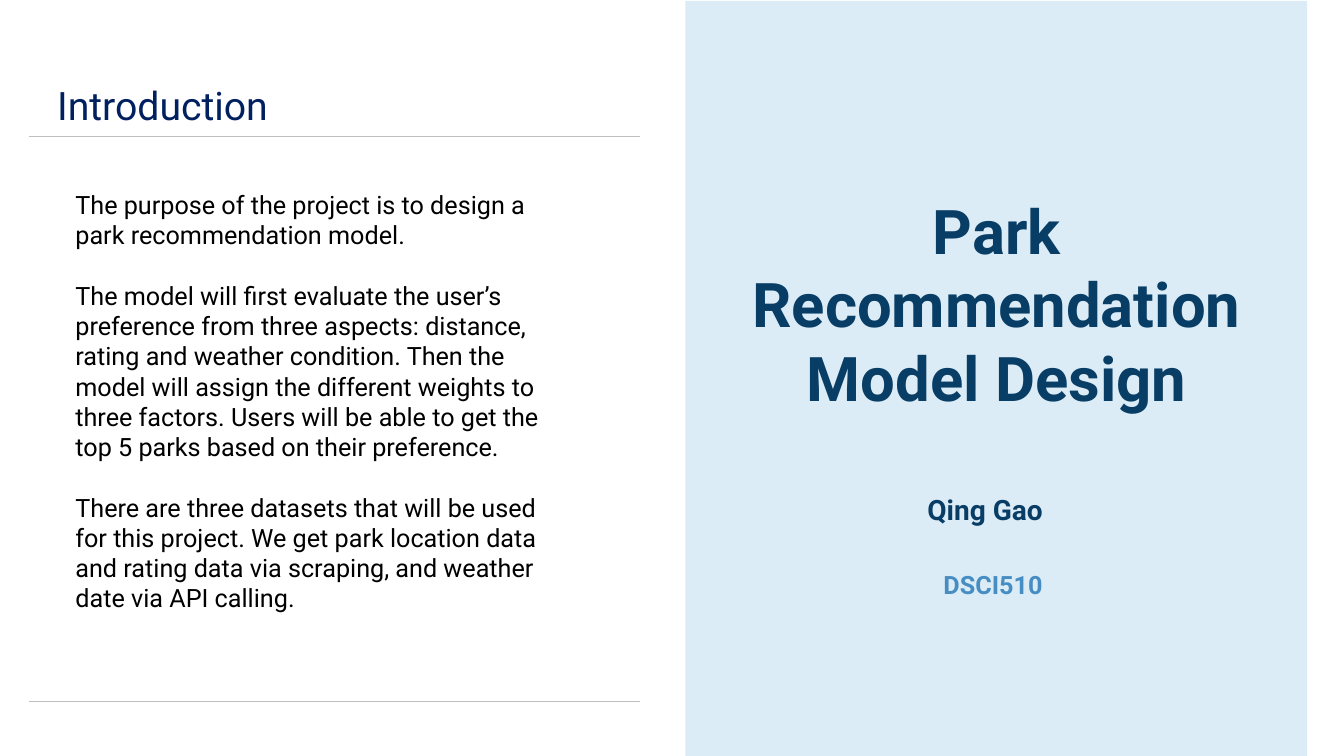
from pptx import Presentation
from pptx.dml.color import RGBColor
from pptx.enum.shapes import MSO_CONNECTOR, MSO_SHAPE
from pptx.enum.text import PP_ALIGN
from pptx.oxml.ns import qn
from pptx.util import Pt
from lxml import etree

NAVY = RGBColor(0x08, 0x3D, 0x65)
HEADING_BLUE = RGBColor(0x00, 0x20, 0x60)
ACCENT_BLUE = RGBColor(0x46, 0x8D, 0xC3)
PALE_BLUE = RGBColor(0xDC, 0xEC, 0xF6)
RULE_GRAY = RGBColor(0xBF, 0xBF, 0xBF)
BLACK = RGBColor(0x00, 0x00, 0x00)

INTRODUCTION = [
    "The purpose of the project is to design a park recommendation model.",
    "The model will first evaluate the user’s preference from three aspects: "
    "distance, rating and weather condition. Then the model will assign the "
    "different weights to three factors. Users will be able to get the top 5 "
    "parks based on their preference.",
    "There are three datasets that will be used for this project. We get park "
    "location data and rating data via scraping, and weather date via API calling.",
]

presentation = Presentation()
presentation.slide_width = Pt(960)
presentation.slide_height = Pt(540)
slide = presentation.slides.add_slide(presentation.slide_layouts[6])


def add_text(paragraphs, left, top, width, height, *, size, color, bold=False,
             align=PP_ALIGN.LEFT, margins=(0, 0), gap=0):
    """Add a text box; margins are (horizontal, vertical), gap parts the paragraphs."""
    box = slide.shapes.add_textbox(Pt(left), Pt(top), Pt(width), Pt(height))
    frame = box.text_frame
    frame.word_wrap = True
    frame.margin_left = frame.margin_right = Pt(margins[0])
    frame.margin_top = frame.margin_bottom = Pt(margins[1])
    for index, text in enumerate(paragraphs):
        paragraph = frame.add_paragraph() if index else frame.paragraphs[0]
        paragraph.alignment = align
        paragraph.space_before = Pt(gap if index else 0)
        run = paragraph.add_run()
        run.text = text
        run.font.name = "Roboto"
        run.font.size = Pt(size)
        run.font.bold = bold
        run.font.color.rgb = color


# Title panel on the right
panel = slide.shapes.add_shape(MSO_SHAPE.RECTANGLE, Pt(489.6), Pt(0.7), Pt(444.2), Pt(539.3))
panel.shadow.inherit = False
panel.fill.solid()
panel.fill.fore_color.rgb = PALE_BLUE
panel.line.fill.background()

add_text(["Park Recommendation Model Design"], 522.7, 137.5, 378.7, 159.8,
         size=44, color=NAVY, bold=True, align=PP_ALIGN.CENTER)
add_text(["Qing Gao"], 662.4, 352.1, 180, 24.5, size=20, color=NAVY, bold=True)
add_text(["DSCI510"], 673.9, 406.8, 116.6, 21.6, size=18, color=ACCENT_BLUE, bold=True)

# Introduction on the left, between two rules
for rule_top in (97.2, 501.1):
    rule = slide.shapes.add_connector(
        MSO_CONNECTOR.STRAIGHT, Pt(20.9), Pt(rule_top), Pt(457.2), Pt(rule_top))
    rule.line.color.rgb = RULE_GRAY
    rule.line.width = Pt(0.5)
    etree.SubElement(rule._element.spPr, qn("a:effectLst"))

add_text(["Introduction"], 33.8, 54.7, 410.4, 41,
         size=28, color=HEADING_BLUE, margins=(7.2, 3.6))
add_text(INTRODUCTION, 46.8, 131.8, 362.9, 312.5,
         size=18, color=BLACK, margins=(7.2, 3.6), gap=21.6)

presentation.save("out.pptx")
